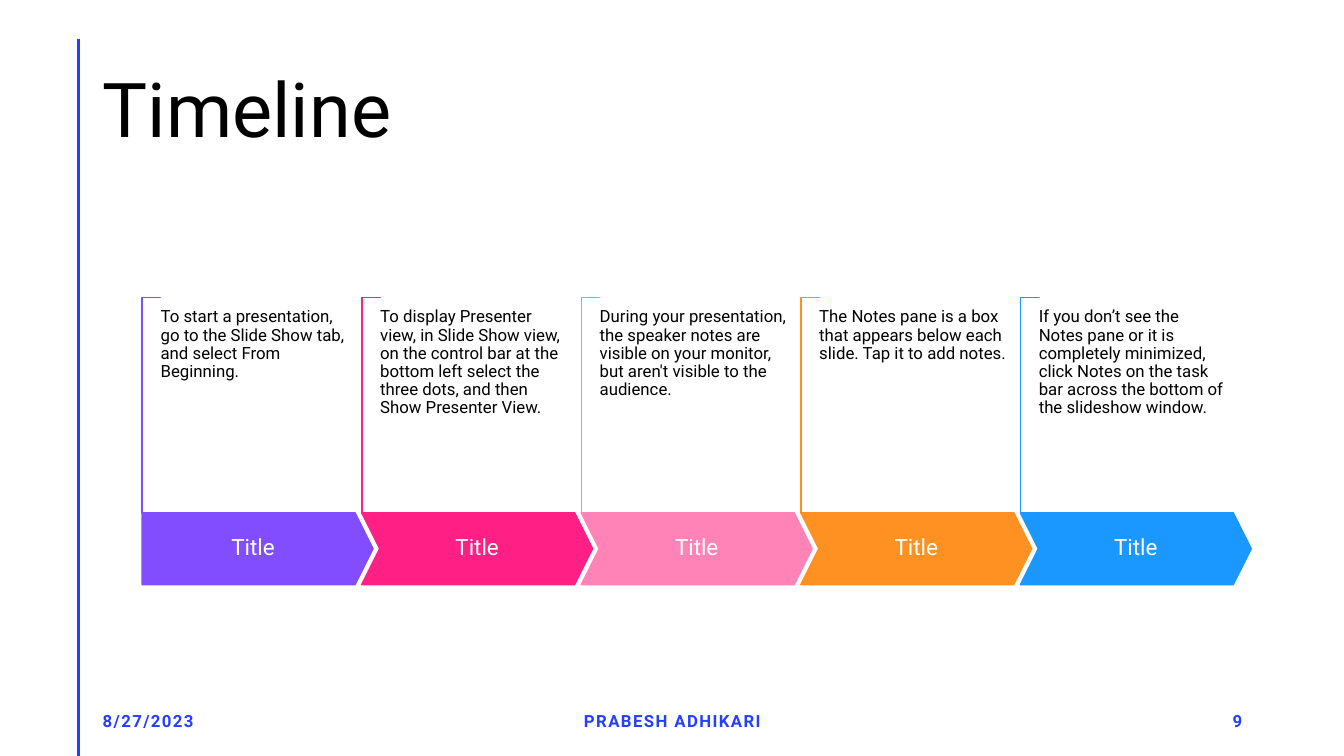
from lxml import etree
from pptx import Presentation
from pptx.dml.color import RGBColor
from pptx.enum.shapes import MSO_CONNECTOR, MSO_SHAPE
from pptx.enum.text import MSO_ANCHOR, MSO_AUTO_SIZE, PP_ALIGN
from pptx.oxml.ns import qn
from pptx.util import Inches, Pt

LINE = MSO_CONNECTOR.STRAIGHT
CORNER, FIRST, NEXT = MSO_SHAPE.CORNER, MSO_SHAPE.PENTAGON, MSO_SHAPE.CHEVRON
TOP, MIDDLE = MSO_ANCHOR.TOP, MSO_ANCHOR.MIDDLE
LEFT, CENTER, RIGHT = PP_ALIGN.LEFT, PP_ALIGN.CENTER, PP_ALIGN.RIGHT

WIDE, HIGH = 13.33, 7.5
BLUE, BLACK, WHITE = "243FFF", "000000", "FFFFFF"
STEPS = [
    ("814DFF", "To start a presentation, go to the Slide Show tab, and select From Beginning."),
    ("FF1F85", "To display Presenter view, in Slide Show view, on the control bar at the "
               "bottom left select the three dots, and then Show Presenter View."),
    ("FF83B6", "During your presentation, the speaker notes are visible on your monitor, "
               "but aren't visible to the audience."),
    ("FF9022", "The Notes pane is a box that appears below each slide. Tap it to add notes."),
    ("1A98FF", "If you don’t see the Notes pane or it is completely minimized, click Notes "
               "on the task bar across the bottom of the slideshow window."),
]
FOOT = [("8/27/2023", 0, 3, LEFT), ("PRABESH ADHIKARI", 3.5, 4.5, CENTER), ("9", 8.5, 3, RIGHT)]


def color(code):
    """Turn a hex string into a colour."""
    return RGBColor.from_string(code)


def inches(*sizes):
    """Turn plain numbers into lengths."""
    return [Inches(size) for size in sizes]


def write(frame, text, size, code, align=LEFT, anchor=MIDDLE, pad=(0.1, 0.05), gap=0.9, bold=False):
    """Fill a text frame with one formatted paragraph."""
    side, edge = inches(*pad)
    look = {"word_wrap": True, "auto_size": MSO_AUTO_SIZE.NONE, "vertical_anchor": anchor,
            "margin_left": side, "margin_right": side, "margin_top": edge, "margin_bottom": edge}
    for name, value in look.items():
        setattr(frame, name, value)
    line = frame.paragraphs[0]
    line.alignment, line.line_spacing = align, gap
    run = line.add_run()
    run.text = text
    for name, value in {"name": "Roboto", "size": Pt(size), "bold": bold}.items():
        setattr(run.font, name, value)
    run.font.color.rgb = color(code)
    return run


def block(slide, kind, box, fill, edge, cuts):
    """Add a preset shape with a thin outline."""
    shape = slide.shapes.add_shape(kind, *inches(*box))
    shape.shadow.inherit = False
    shape.fill.solid()
    shape.fill.fore_color.rgb = color(fill)
    shape.line.color.rgb = color(edge)
    shape.line.width = Pt(1)
    for spot, cut in enumerate(cuts):
        shape.adjustments[spot] = cut
    return shape


def rail(slide, left, top, end):
    """Draw the vertical line beside the title."""
    line = slide.shapes.add_connector(LINE, *inches(left, top, left, end))
    line.line.color.rgb = color(BLUE)
    line.line.width = Pt(2.25)
    etree.SubElement(line._element.spPr, qn("a:effectLst"))


def head(slide, box):
    """Place the slide title."""
    title = slide.shapes.title
    for name, value in zip(("left", "top", "width", "height"), inches(*box)):
        setattr(title, name, value)
    write(title.text_frame, "Timeline", 54, BLACK)


def step(slide, box, kind, code, note):
    """Place a bracket, its note and the arrow below."""
    left, top, wide, high = box
    band, rise, lip = high * 0.25, high * 0.75, wide * 0.08
    turned = (left + (lip - rise) / 2, top + (rise - lip) / 2, rise, lip)
    block(slide, CORNER, turned, WHITE, code, (0.01, 0.01)).rotation = 90
    arrow = block(slide, kind, (left, top + rise, wide, band), code, code, (0.25,))
    write(arrow.text_frame, "Title", 16, WHITE, CENTER, pad=(0.11, 0.22))
    area = (left + lip, top + 0.11, wide - 0.43, rise - 0.22)
    text = slide.shapes.add_textbox(*inches(*area))
    write(text.text_frame, note, 12, BLACK, anchor=TOP, pad=(0, 0))


def timeline(slide, box):
    """Spread the steps evenly over the box."""
    left, top, wide, high = box
    size = 2.29
    pitch = (wide - size) / (len(STEPS) - 1)
    for spot, (code, note) in enumerate(STEPS):
        kind = NEXT if spot else FIRST
        step(slide, (left + spot * pitch, top, size, high), kind, code, note)


def footer(slide, box):
    """Place the date, author and page number."""
    left, top, _, high = box
    for text, shift, wide, align in FOOT:
        field = slide.shapes.add_textbox(*inches(left + shift, top, wide, high))
        run = write(field.text_frame, text, 12, BLUE, align, gap=1.0, bold=True)
        run._r.get_or_add_rPr().set("spc", "100")


def main():
    """Build and save the slide."""
    deck = Presentation()
    deck.slide_width, deck.slide_height = inches(WIDE, HIGH)
    slide = deck.slides.add_slide(deck.slide_layouts[5])
    rail(slide, 0.78, 0.39, HIGH)
    head(slide, (0.92, 0.4, 11.5, 1.45))
    timeline(slide, (1.41, 2.95, 11, 2.85))
    footer(slide, (0.92, 6.95, 11.5, 0.4))
    deck.save("out.pptx")


if __name__ == "__main__":
    main()
